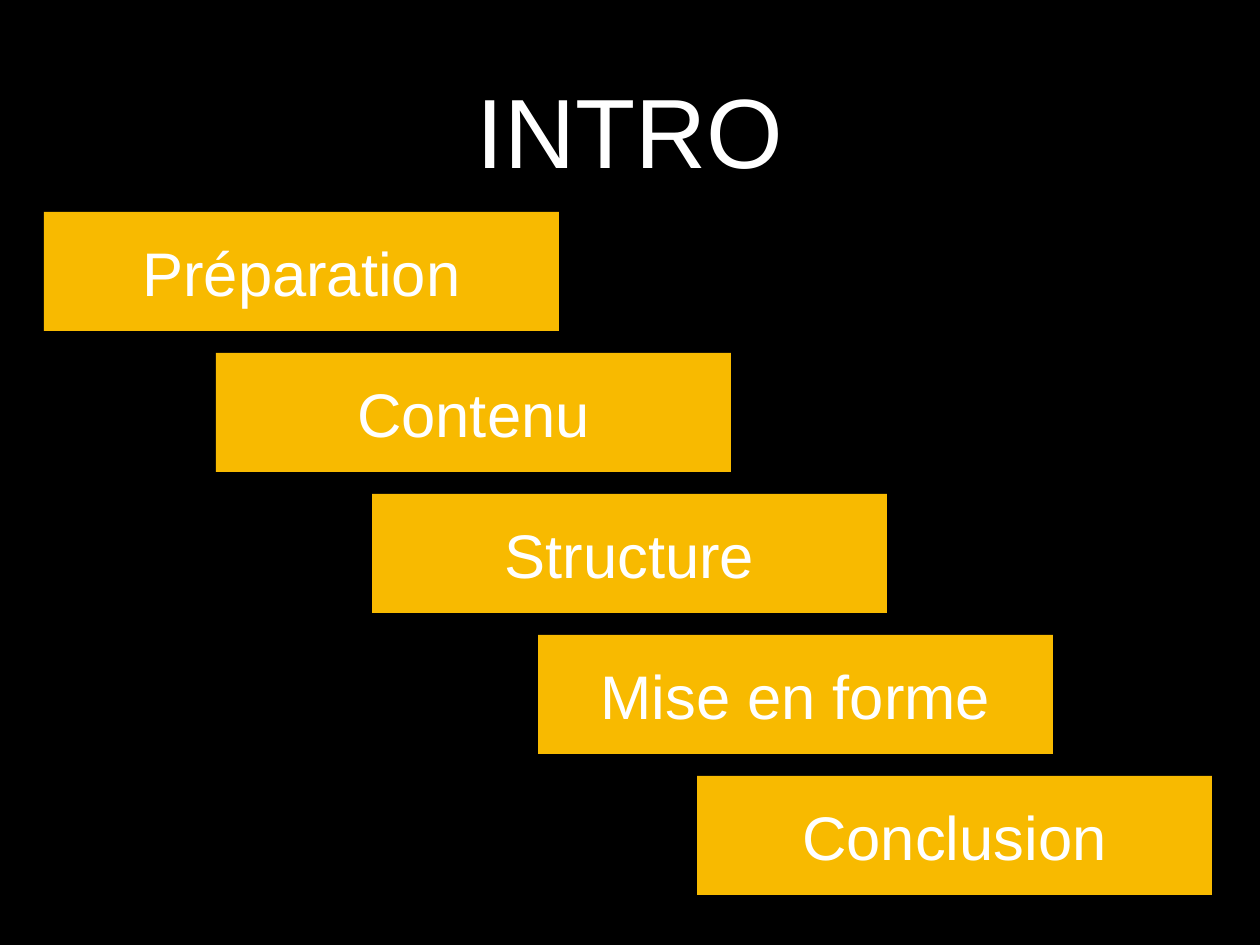
from pptx import Presentation
from pptx import util as u
from pptx.dml.color import RGBColor
from pptx.enum import shapes, text

PX = 10320
BLACK = RGBColor(0x00, 0x00, 0x00)
GOLD = RGBColor(0xF8, 0xBA, 0x00)
WHITE = RGBColor(0xFF, 0xFF, 0xFF)


def px(*nums):
    return [u.Emu(n * PX) for n in nums]


def write(shape, words, size, inset, fit):
    frame = shape.text_frame
    frame.text = words
    pad = px(inset)[0]
    style = {
        "word_wrap": True,
        "auto_size": fit,
        "vertical_anchor": text.MSO_ANCHOR.MIDDLE,
        "margin_left": pad,
        "margin_top": pad,
        "margin_right": pad,
        "margin_bottom": pad,
    }
    for key, val in style.items():
        setattr(frame, key, val)
    para = frame.paragraphs[0]
    para.alignment = text.PP_ALIGN.CENTER
    font = para.runs[0].font
    for key, val in {"name": "Arial", "size": u.Pt(size)}.items():
        setattr(font, key, val)
    font.color.rgb = WHITE


deck = Presentation()
deck.slide_width, deck.slide_height = px(1260, 945)
slide = deck.slides.add_slide(deck.slide_layouts[5])
slide.background.fill.solid()
slide.background.fill.fore_color.rgb = BLACK

title = slide.shapes.title
title.left, title.top, title.width, title.height = px(92, 25, 1076, 209)
write(title, "INTRO", 80, 5, text.MSO_AUTO_SIZE.NONE)

steps = {
    "Préparation": 44,
    "Contenu": 216,
    "Structure": 372,
    "Mise en forme": 538,
    "Conclusion": 697,
}
for row, (name, left) in enumerate(steps.items()):
    box = slide.shapes.add_shape(
        shapes.MSO_SHAPE.RECTANGLE, *px(left, 212 + 141 * row, 515, 119)
    )
    box.shadow.inherit = False
    box.fill.solid()
    box.fill.fore_color.rgb = GOLD
    box.line.fill.background()
    write(box, name, 50, 23, text.MSO_AUTO_SIZE.SHAPE_TO_FIT_TEXT)

deck.save("out.pptx")
